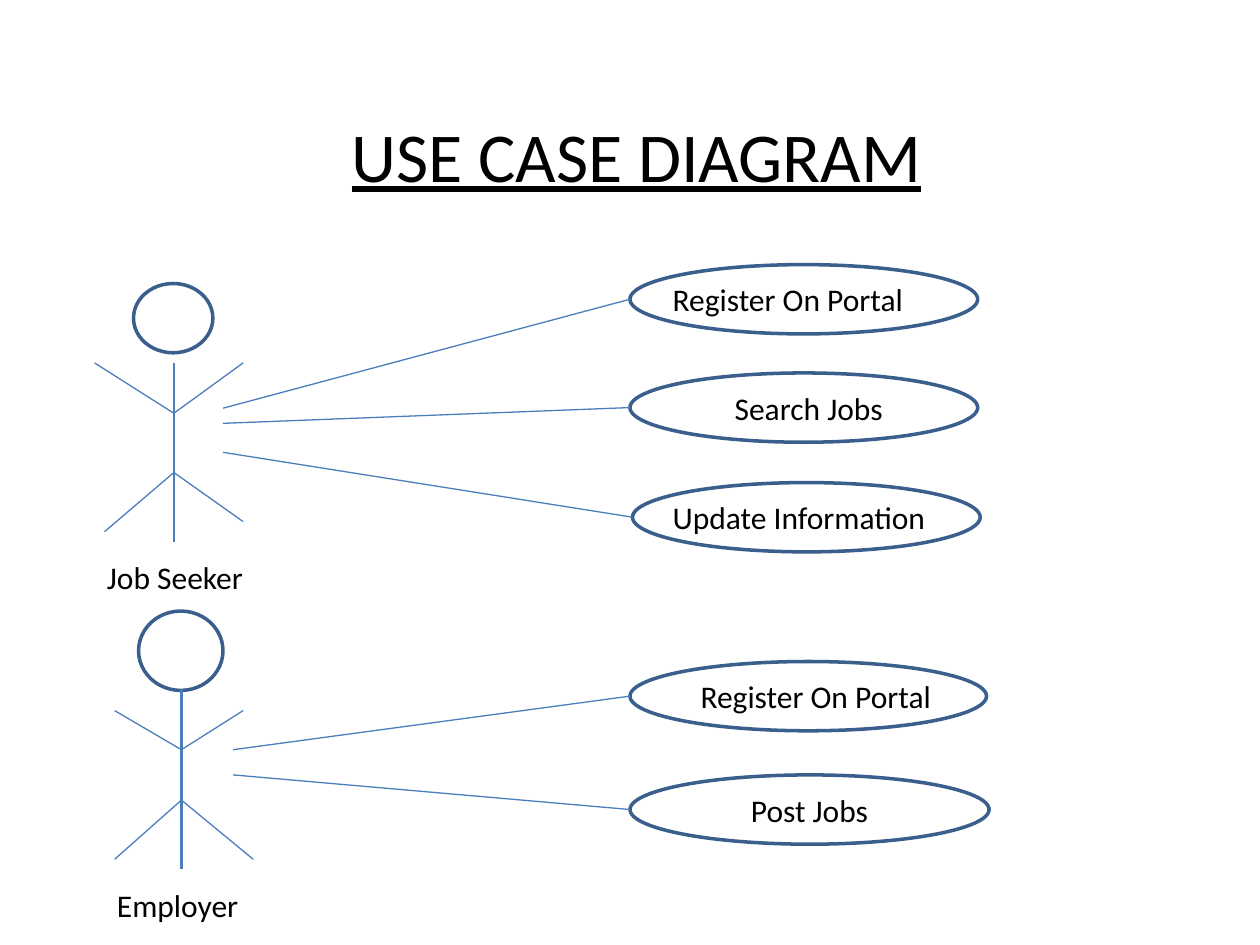
from dataclasses import dataclass
from typing import Any

from lxml import etree
from pptx import Presentation
from pptx import util as u
from pptx.dml.color import RGBColor
from pptx.enum import shapes, text
from pptx.oxml import ns

Point = tuple[float, float]
Box = tuple[float, float, float, float]

BLACK, WHITE, OUTLINE, STROKE = "000000", "FFFFFF", "3A5F8C", "4B7EBC"
OVAL_HEIGHT = 0.55
LABEL_HEIGHT = 0.4


@dataclass(frozen=True)
class Actor:
    name: str
    name_left: float
    name_top: float
    name_width: float
    head: Box
    head_kind: Any
    spine: Point
    spine_x: float
    shoulder: float
    hip: float
    hands: tuple[Point, Point]
    feet: tuple[Point, Point]


@dataclass(frozen=True)
class UseCase:
    label: str
    left: float
    top: float
    width: float
    label_left: float
    label_width: float
    indent: float
    start: Point


ACTORS = [
    Actor("Job Seeker", 0.75, 4.38, 1.42, (1.06, 2.25, 0.63, 0.55),
          shapes.MSO_SHAPE.FLOWCHART_CONNECTOR, (2.88, 4.3), 1.38, 3.28, 3.75,
          ((0.75, 2.88), (1.93, 2.88)), ((0.83, 4.22), (1.93, 4.14))),
    Actor("Employer", 0.83, 6.98, 1.18, (1.1, 4.85, 0.67, 0.63),
          shapes.MSO_SHAPE.OVAL, (5.48, 6.9), 1.44, 5.95, 6.35,
          ((0.91, 5.64), (1.93, 5.64)), ((0.91, 6.82), (2.01, 6.82))),
]

USE_CASES = [
    UseCase("Register On Portal", 5, 2.1, 2.76, 5.24, 2.44, 0.1, (1.77, 3.24)),
    UseCase("Search Jobs", 5, 2.96, 2.76, 5.39, 1.89, 0.44, (1.77, 3.36)),
    UseCase("Update Information", 5.02, 3.83, 2.76, 5.24, 2.3, 0.1, (1.77, 3.59)),
    UseCase("Register On Portal", 5, 5.25, 2.83, 5.24, 2.3, 0.32, (1.85, 5.95)),
    UseCase("Post Jobs", 5, 6.15, 2.85, 5.41, 2.13, 0.55, (1.85, 6.15)),
]


def color(value: str) -> RGBColor:
    return RGBColor.from_string(value)


def apply(target: Any, values: dict[str, Any]) -> None:
    for name, value in values.items():
        setattr(target, name, value)


def write(shape: Any, words: str, size: float, indent: float = 0.1,
          underline: bool = False) -> None:
    frame = shape.text_frame
    frame.text = words
    apply(frame, {"word_wrap": True, "auto_size": text.MSO_AUTO_SIZE.NONE,
                  "vertical_anchor": text.MSO_ANCHOR.TOP,
                  "margin_left": u.Inches(indent)})
    paragraph = frame.paragraphs[0]
    paragraph.alignment = text.PP_ALIGN.LEFT
    font = paragraph.runs[0].font
    apply(font, {"name": "Calibri", "size": u.Pt(size), "underline": underline})
    font.color.rgb = color(BLACK)


def add_title(slide: Any, words: str) -> None:
    title = slide.shapes.title
    apply(title, {"left": u.Inches(1.69), "top": u.Inches(0.84),
                  "width": u.Inches(6.61), "height": u.Inches(0.77)})
    write(title, words, 40, 1.1, True)


def add_label(slide: Any, words: str, left: float, top: float, width: float,
              indent: float = 0.1) -> None:
    box = slide.shapes.add_textbox(u.Inches(left), u.Inches(top),
                                   u.Inches(width), u.Inches(LABEL_HEIGHT))
    write(box, words, 18, indent)


def add_outline(slide: Any, kind: Any, box: Box) -> None:
    shape = slide.shapes.add_shape(kind, *map(u.Inches, box))
    shape.shadow.inherit = False
    shape.fill.solid()
    shape.fill.fore_color.rgb = color(WHITE)
    shape.line.color.rgb = color(OUTLINE)
    shape.line.width = u.Pt(2)


def add_line(slide: Any, start: Point, end: Point, width: float = 0.75) -> None:
    connector = slide.shapes.add_connector(
        shapes.MSO_CONNECTOR.STRAIGHT, *map(u.Inches, start + end))
    connector.line.color.rgb = color(STROKE)
    connector.line.width = u.Pt(width)
    properties = connector.element.find(ns.qn("p:spPr"))
    etree.SubElement(properties, ns.qn("a:effectLst"))


def add_actor(slide: Any, actor: Actor) -> None:
    add_outline(slide, actor.head_kind, actor.head)
    neck, base = actor.spine
    add_line(slide, (actor.spine_x, neck), (actor.spine_x, base), 1.5)
    for joint, limbs in ((actor.shoulder, actor.hands), (actor.hip, actor.feet)):
        for tip in limbs:
            add_line(slide, (actor.spine_x, joint), tip)
    add_label(slide, actor.name, actor.name_left, actor.name_top, actor.name_width)


def add_use_case(slide: Any, case: UseCase) -> None:
    add_outline(slide, shapes.MSO_SHAPE.OVAL,
                (case.left, case.top, case.width, OVAL_HEIGHT))
    label_top = case.top + (OVAL_HEIGHT - LABEL_HEIGHT) / 2
    add_label(slide, case.label, case.label_left, label_top,
              case.label_width, case.indent)
    add_line(slide, case.start, (case.left, case.top + OVAL_HEIGHT / 2))


def main() -> None:
    presentation = Presentation()
    apply(presentation, {"slide_width": u.Inches(10), "slide_height": u.Inches(7.5)})
    slide = presentation.slides.add_slide(presentation.slide_layouts[5])
    add_title(slide, "USE CASE DIAGRAM")
    for actor in ACTORS:
        add_actor(slide, actor)
    for case in USE_CASES:
        add_use_case(slide, case)
    presentation.save("out.pptx")


if __name__ == "__main__":
    main()
